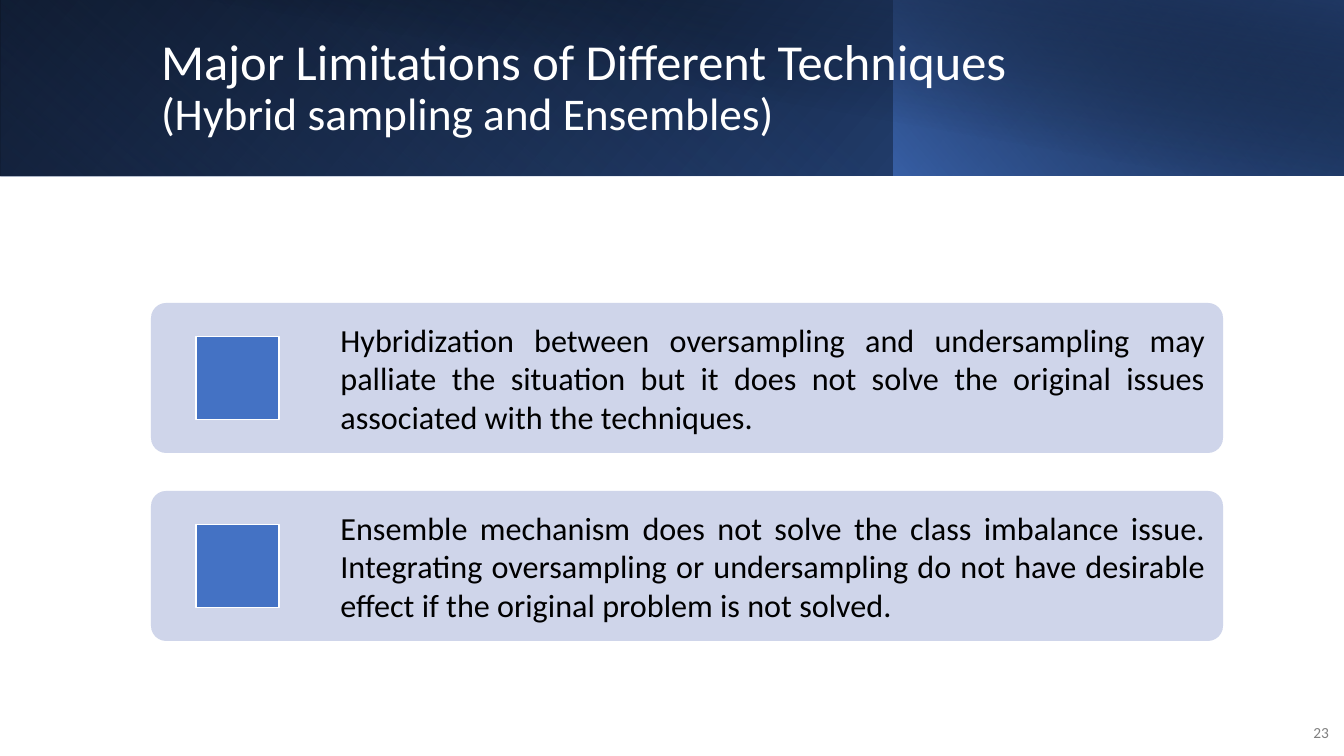
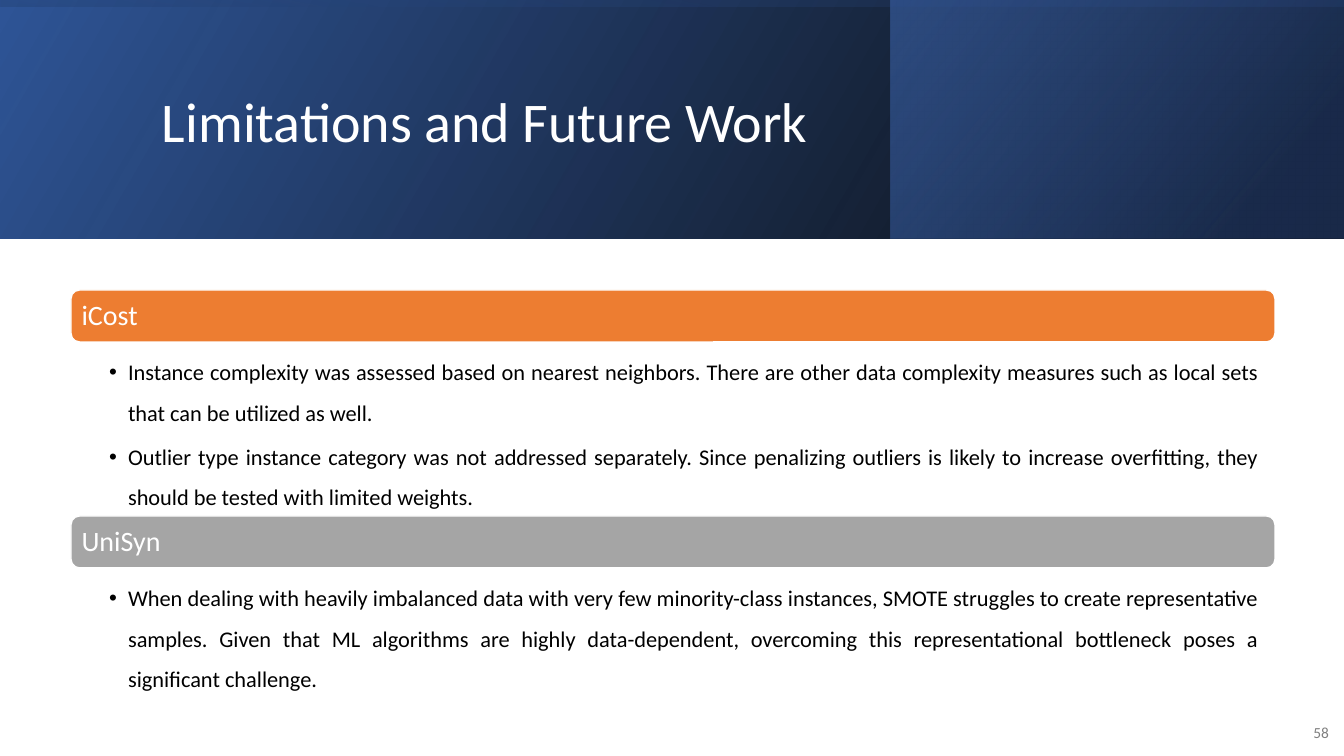
"""Build two slides on the limitations of imbalanced-data techniques."""
import dataclasses

import lxml.etree
import pptx
import pptx.dml.color
import pptx.enum.shapes
import pptx.enum.text
import pptx.oxml.ns
import pptx.util

SLIDE_W, SLIDE_H = 1344, 756
EMU_PER_PX = 12192000 / SLIDE_W
ALIGN = pptx.enum.text.PP_ALIGN
ANCHOR = pptx.enum.text.MSO_ANCHOR
PRESET = pptx.enum.shapes.MSO_SHAPE
qn = pptx.oxml.ns.qn


@dataclasses.dataclass(frozen=True)
class Theme:
    """Colours, font and type sizes of the deck."""
    font: str = "Calibri"
    white: str = "FFFFFF"
    black: str = "000000"
    grey: str = "808080"
    blue: str = "4472C4"
    deep_blue: str = "2F5597"
    navy: str = "203864"
    card: str = "CFD5EA"
    orange: str = "ED7D31"
    silver: str = "A5A5A5"
    title: float = 36
    subtitle: float = 32.4
    big_title: float = 40
    card_text: float = 23
    heading: float = 20
    bullet: float = 16
    page: float = 11


THEME = Theme()


@dataclasses.dataclass(frozen=True)
class Layer:
    """One gradient sheet of a title band; stops are (position, colour, opacity)."""
    left: int
    width: int
    start: tuple
    end: tuple
    angle: int
    flip: bool = True
    rotation: int = 0


HYBRID_LAYERS = (
    Layer(0, SLIDE_W, (0, THEME.black, 100), (100, THEME.deep_blue, 100), 140),
    Layer(0, 895, (20, THEME.blue, 0), (100, THEME.navy, 55), 230, rotation=180),
    Layer(894, 450, (0, THEME.blue, 66), (100, THEME.black, 30), 220),
    Layer(50, 1294, (50, THEME.black, 0), (99, THEME.navy, 52), 280, flip=False),
)
FUTURE_LAYERS = (
    Layer(0, SLIDE_W, (0, THEME.black, 96), (100, THEME.deep_blue, 100), 330),
    Layer(891, 453, (19, THEME.navy, 68), (100, THEME.blue, 48), 320),
    Layer(0, SLIDE_W, (23, THEME.deep_blue, 16), (99, THEME.black, 45), 350, rotation=270),
)


def px(length):
    """Turn px into EMU."""
    return pptx.util.Emu(round(length * EMU_PER_PX))


def rgb(colour):
    """Turn a hex string into a colour."""
    return pptx.dml.color.RGBColor.from_string(colour)


def add_bullet(paragraph, indent):
    """Give a paragraph a hanging bullet."""
    properties = paragraph._p.get_or_add_pPr()
    properties.set("marL", str(px(indent)))
    properties.set("indent", str(-px(indent)))
    lxml.etree.SubElement(properties, qn("a:buFont")).set("typeface", "Arial")
    lxml.etree.SubElement(properties, qn("a:buChar")).set("char", "•")


def write(frame, *texts, size, colour=THEME.black, align=ALIGN.LEFT,
          anchor=ANCHOR.MIDDLE, insets=(10, 5, 10, 5), line=1.0, after=0,
          indent=0, subline=None, subsize=None):
    """Fill a text frame with one paragraph for each text."""
    frame.word_wrap = True
    frame.auto_size = pptx.enum.text.MSO_AUTO_SIZE.NONE
    frame.vertical_anchor = anchor
    frame.margin_left, frame.margin_top, frame.margin_right, frame.margin_bottom = map(px, insets)
    for index, text in enumerate(texts):
        paragraph = frame.add_paragraph() if index else frame.paragraphs[0]
        paragraph.alignment = align
        paragraph.line_spacing = line
        paragraph.space_before = pptx.util.Pt(0)
        paragraph.space_after = pptx.util.Pt(after)
        if indent:
            add_bullet(paragraph, indent)
        pieces = [(text, size)]
        if subline:
            pieces.append((subline, subsize))
        for number, (words, points) in enumerate(pieces):
            if number:
                paragraph.add_line_break()
            run = paragraph.add_run()
            run.text = words
            run.font.name = THEME.font
            run.font.size = pptx.util.Pt(points)
            run.font.color.rgb = rgb(colour)


def add_panel(slide, preset, box, fill=None, outline=None):
    """Place a flat preset shape."""
    panel = slide.shapes.add_shape(preset, *map(px, box))
    panel.shadow.inherit = False
    if fill:
        panel.fill.solid()
        panel.fill.fore_color.rgb = rgb(fill)
    if outline:
        panel.line.color.rgb = rgb(outline)
        panel.line.width = pptx.util.Pt(1)
    else:
        panel.line.fill.background()
    return panel


def add_text(slide, box, *texts, **style):
    """Place a text box."""
    write(slide.shapes.add_textbox(*map(px, box)).text_frame, *texts, **style)


def add_layer(slide, layer, height):
    """Place one gradient sheet so that its turned outline fills its part of the band."""
    left, top, width, tall = layer.left, 0, layer.width, height
    if layer.rotation % 180:
        shift = (width - tall) / 2
        left, top, width, tall = left + shift, top - shift, tall, width
    sheet = add_panel(slide, PRESET.RECTANGLE, (left, top, width, tall))
    sheet.rotation = layer.rotation
    if layer.flip:
        sheet.element.spPr.find(qn("a:xfrm")).set("flipH", "1")
    sheet.fill.gradient()
    sheet.fill.gradient_angle = 360 - layer.angle
    stops = (layer.start, layer.end)
    for stop, (position, colour, _) in zip(sheet.fill.gradient_stops, stops):
        stop.position = position / 100
        stop.color.rgb = rgb(colour)
    colours = sheet.element.spPr.find(qn("a:gradFill")).iter(qn("a:srgbClr"))
    for colour, (_, _, opacity) in zip(colours, stops):
        lxml.etree.SubElement(colour, qn("a:alpha")).set("val", str(opacity * 1000))


def add_framed_slide(deck, layers, band_height, title_box, page, title, **style):
    """Start a slide with its band, title and page number."""
    slide = deck.slides.add_slide(deck.slide_layouts[5])
    for layer in layers:
        add_layer(slide, layer, band_height)
    heading = slide.shapes.title
    heading.left, heading.top, heading.width, heading.height = map(px, title_box)
    slide.shapes.element.append(heading.element)
    write(heading.text_frame, title, colour=THEME.white, line=0.9, **style)
    add_text(slide, (1290, 712, 49, 40), page, size=THEME.page,
             colour=THEME.grey, align=ALIGN.RIGHT)
    return slide


def add_cards(slide, box, gap, texts):
    """Stack equal cards, each with a square marker, in a box."""
    left, top, width, height = box
    card_height = (height - gap * (len(texts) - 1)) / len(texts)
    marker = 83
    for index, text in enumerate(texts):
        card_top = top + index * (card_height + gap)
        card = add_panel(slide, PRESET.ROUNDED_RECTANGLE,
                         (left, card_top, width, card_height), THEME.card)
        card.adjustments[0] = 0.1
        write(card.text_frame, text, size=THEME.card_text, align=ALIGN.JUSTIFY,
              insets=(185, 12, 12, 12))
        add_panel(slide, PRESET.RECTANGLE,
                  (left + 45, card_top + (card_height - marker) / 2, marker, marker),
                  THEME.blue, THEME.white)


def add_sections(slide, left, top, width, sections):
    """Stack headed bullet lists from a top left corner."""
    bar_height = 52
    for heading, colour, list_height, points in sections:
        bar = add_panel(slide, PRESET.ROUNDED_RECTANGLE,
                        (left, top, width, bar_height), colour, THEME.white)
        write(bar.text_frame, heading, size=THEME.heading, colour=THEME.white,
              insets=(8, 5, 8, 5), line=0.9)
        add_text(slide, (left, top + bar_height, width, list_height), *points,
                 size=THEME.bullet, align=ALIGN.JUSTIFY, anchor=ANCHOR.TOP,
                 insets=(38, 3, 16, 3), line=1.5, after=3, indent=19)
        top += bar_height + list_height


def build_hybrid_slide(deck):
    """Build the slide on hybrid sampling and ensembles."""
    slide = add_framed_slide(
        deck, HYBRID_LAYERS, 176, (151, 32, 1091, 114), "23",
        "Major Limitations of Different Techniques", size=THEME.title,
        subline="(Hybrid sampling and Ensembles)", subsize=THEME.subtitle)
    add_cards(slide, (151, 303, 1072, 338), 38, (
        "Hybridization between oversampling and undersampling may palliate the situation "
        "but it does not solve the original issues associated with the techniques.",
        "Ensemble mechanism does not solve the class imbalance issue. Integrating "
        "oversampling or undersampling do not have desirable effect if the original "
        "problem is not solved.",
    ))


def build_future_slide(deck):
    """Build the slide on limitations and future work."""
    slide = add_framed_slide(
        deck, FUTURE_LAYERS, 239, (152, 38, 1072, 173), "58",
        "Limitations and Future Work", size=THEME.big_title)
    add_sections(slide, 71, 290, 1204, (
        ("iCost", THEME.orange, 174, (
            "Instance complexity was assessed based on nearest neighbors. There are other "
            "data complexity measures such as local sets that can be utilized as well.",
            "Outlier type instance category was not addressed separately. Since penalizing "
            "outliers is likely to increase overfitting, they should be tested with "
            "limited weights.",
        )),
        ("UniSyn", THEME.silver, 126, (
            "When dealing with heavily imbalanced data with very few minority-class "
            "instances, SMOTE struggles to create representative samples. Given that ML "
            "algorithms are highly data-dependent, overcoming this representational "
            "bottleneck poses a significant challenge.",
        )),
    ))


def main():
    """Build and save the deck."""
    deck = pptx.Presentation()
    deck.slide_width, deck.slide_height = px(SLIDE_W), px(SLIDE_H)
    build_hybrid_slide(deck)
    build_future_slide(deck)
    deck.save("out.pptx")


if __name__ == "__main__":
    main()
